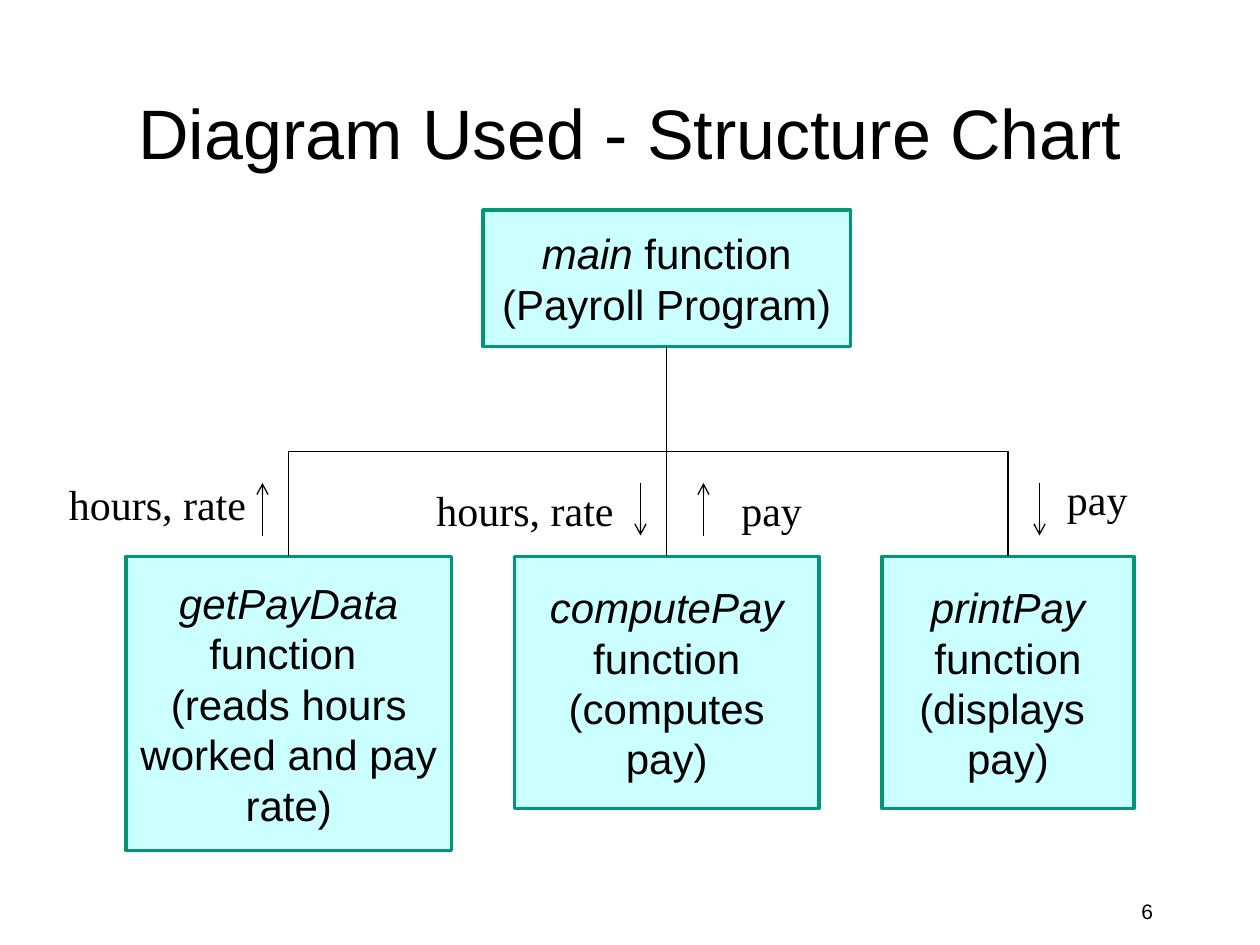
from pptx import Presentation
from pptx.dml.color import RGBColor
from pptx.enum.shapes import MSO_CONNECTOR as CXN, MSO_SHAPE
from pptx.enum.text import MSO_ANCHOR as ANCHOR, PP_ALIGN as ALIGN
from pptx.oxml.ns import qn
from pptx.util import Pt
from lxml import etree

BOX_FONT = {"name": "Arial", "size": Pt(24)}
LABEL_FONT = {"name": "Times New Roman", "size": Pt(24)}
BOTTOM, TOP = 2, 0


def rgb(color):
    """Turn a hex string into a colour."""
    return RGBColor.from_string(color)


def pts(*values):
    """Convert numbers to lengths in points."""
    return [Pt(v) for v in values]


def write(sp, paragraphs, fmt, align=ALIGN.CENTER, anchor=ANCHOR.MIDDLE):
    """Fill a shape with paragraphs of (text, italic) runs."""
    tf = sp.text_frame
    tf.word_wrap = True
    tf.vertical_anchor = anchor
    for i, runs in enumerate(paragraphs):
        p = tf.paragraphs[0] if i == 0 else tf.add_paragraph()
        p.alignment = align
        for text, italic in runs:
            r = p.add_run()
            r.text = text
            for key, value in {**fmt, "italic": italic}.items():
                setattr(r.font, key, value)
            r.font.color.rgb = rgb("000000")


def add_text(s, box, text, fmt, **layout):
    """Add a one-paragraph text box."""
    sp = s.shapes.add_textbox(*pts(*box))
    write(sp, [[(text, False)]], fmt, **layout)


def add_module(s, box, paragraphs):
    """Add a function box of the chart."""
    sp = s.shapes.add_shape(MSO_SHAPE.RECTANGLE, *pts(*box))
    sp.shadow.inherit = False
    sp.fill.solid()
    sp.fill.fore_color.rgb = rgb("CCFFFF")
    sp.line.color.rgb = rgb("009771")
    sp.line.width = Pt(2)
    write(sp, paragraphs, BOX_FONT)
    return sp


def add_line(s, kind, ends):
    """Add a thin black connector without a shadow."""
    c = s.shapes.add_connector(kind, *ends)
    c.line.color.rgb = rgb("000000")
    c.line.width = Pt(0.75)
    etree.SubElement(c._element.spPr, qn("a:effectLst"))
    return c


def add_arrow(s, x, start, end):
    """Add a vertical data-flow arrow."""
    c = add_line(s, CXN.STRAIGHT, pts(x, start, x, end))
    etree.SubElement(c.line._get_or_add_ln(), qn("a:tailEnd"), type="arrow")


def link(s, parent, child):
    """Join the bottom of a parent to the top of a child."""
    x1, y1 = parent.left + parent.width // 2, parent.top + parent.height
    x2, y2 = child.left + child.width // 2, child.top
    kind = CXN.STRAIGHT if x1 == x2 else CXN.ELBOW
    c = add_line(s, kind, (x1, y1, x2, y2))
    c.begin_connect(parent, BOTTOM)
    c.end_connect(child, TOP)
    if kind == CXN.ELBOW:
        turn_elbow(c, x1, y1, x2, y2)


def turn_elbow(c, x1, y1, x2, y2):
    """Rotate an elbow so that it leaves its start downwards."""
    c.width, c.height = y2 - y1, abs(x2 - x1)
    c.left = (x1 + x2 - c.width) // 2
    c.top = (y1 + y2 - c.height) // 2
    xfrm = c._element.spPr.find(qn("a:xfrm"))
    rightward = x2 > x1
    xfrm.set("rot", str((270 if rightward else 90) * 60000))
    xfrm.set("flipH", "1" if rightward else "0")
    xfrm.set("flipV", "0")


def main():
    """Build the structure chart slide."""
    prs = Presentation()
    prs.slide_width, prs.slide_height = pts(720, 540)
    s = prs.slides.add_slide(prs.slide_layouts[6])

    add_text(s, (516, 510, 150, 36), "6", {"name": "Arial", "size": Pt(12)},
             align=ALIGN.RIGHT, anchor=ANCHOR.TOP)
    add_text(s, (24, 30, 672, 90), "Diagram Used - Structure Chart",
             {"name": "Arial", "size": Pt(40)})

    root = add_module(s, (276, 120, 210, 78),
                      [[("main", True), (" function", False)],
                       [("(Payroll Program)", False)]])
    modules = [
        (72, 186, 168, [[("getPayData ", True), ("function ", False)],
                        [("(reads hours worked and pay rate)", False)]]),
        (294, 174, 144, [[("computePay ", True),
                          ("function (computes pay)", False)]]),
        (504, 144, 144, [[("printPay ", True), ("function (displays ", False)],
                         [("pay)", False)]]),
    ]
    for left, width, height, paragraphs in modules:
        link(s, root, add_module(s, (left, 318, width, height), paragraphs))

    labels = [
        ((18, 258, 144, 60), "hours, rate"),
        ((234, 270, 132, 42), "hours, rate"),
        ((408, 270, 66, 42), "pay"),
        ((588, 264, 78, 42), "pay"),
    ]
    for box, text in labels:
        add_text(s, box, text, LABEL_FONT)

    high, low = 276, 306
    for x in (150, 402):
        add_arrow(s, x, low, high)
    for x in (366, 594):
        add_arrow(s, x, high, low)

    prs.save("out.pptx")


if __name__ == "__main__":
    main()
